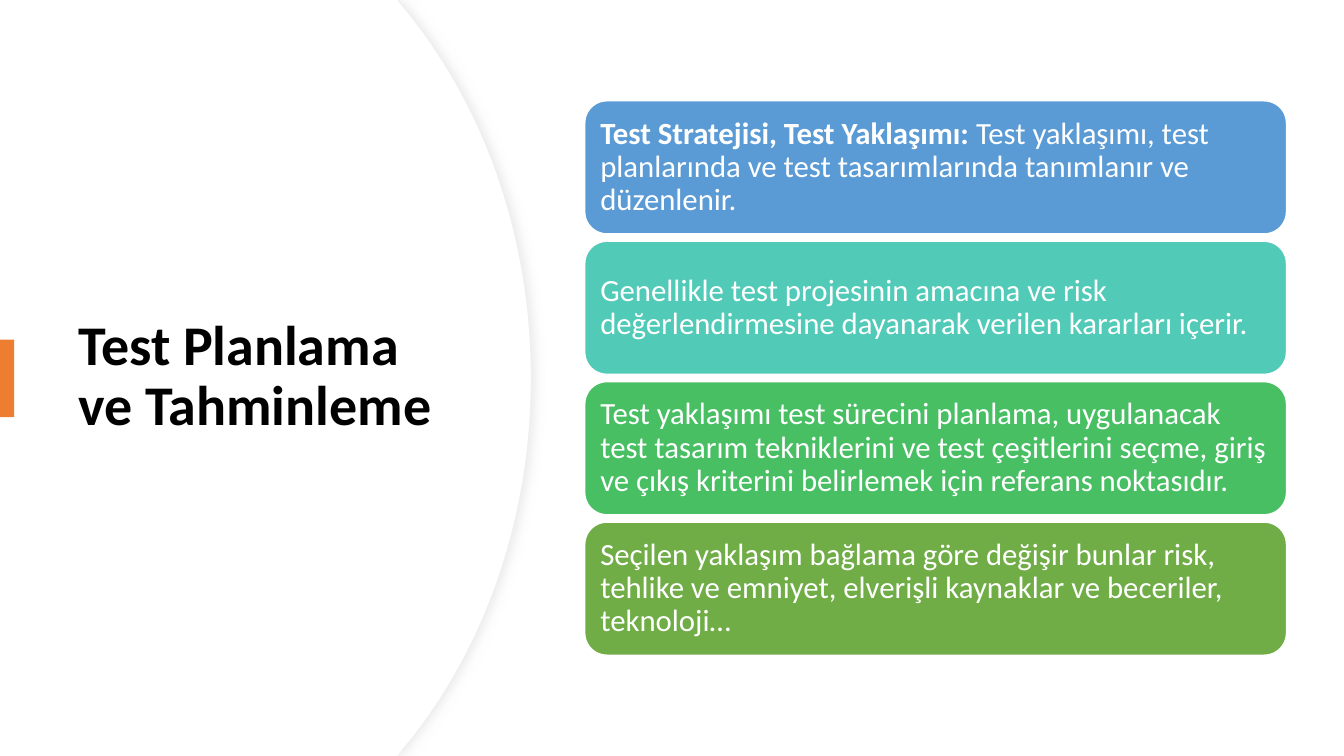
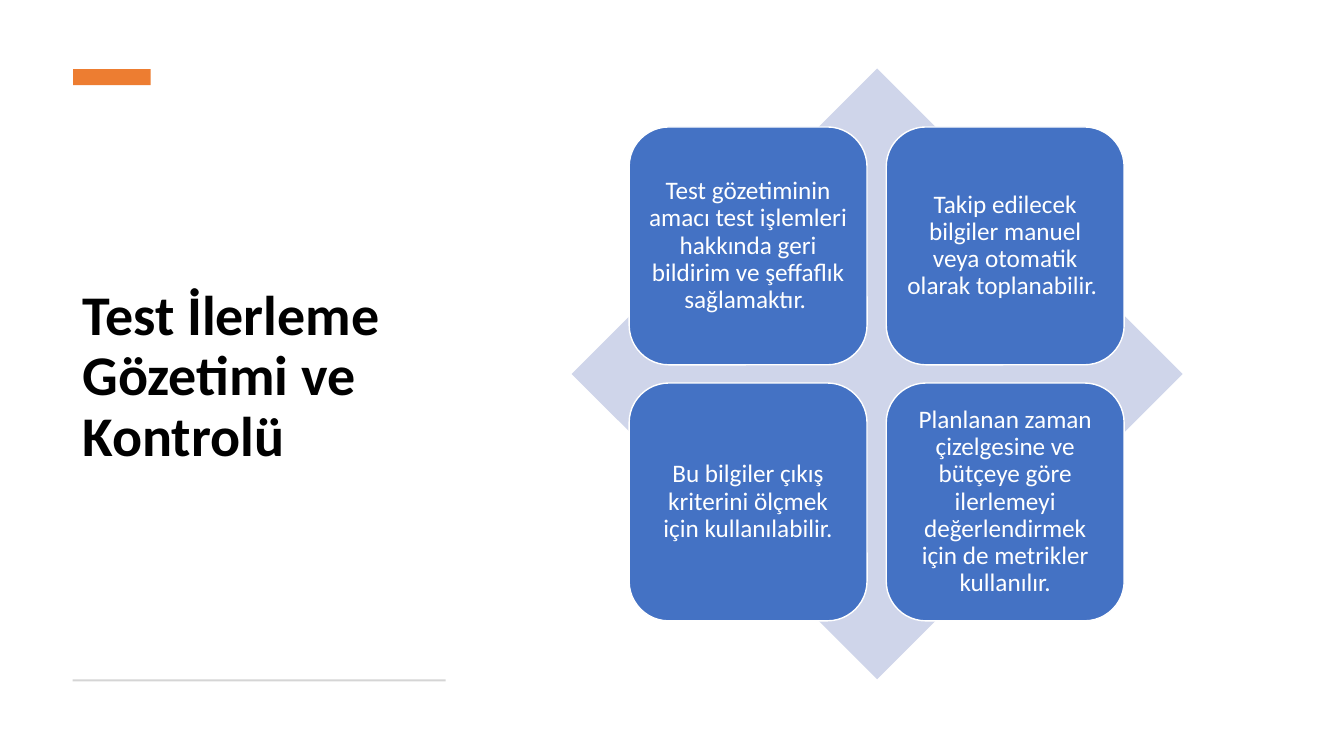
from lxml import etree
from pptx import Presentation
from pptx.dml.color import RGBColor
from pptx.enum.shapes import MSO_SHAPE
from pptx.enum.text import MSO_ANCHOR, PP_ALIGN
from pptx.oxml.ns import qn
from pptx.util import Inches, Pt

RECTANGLE = MSO_SHAPE.RECTANGLE
ROUNDED = MSO_SHAPE.ROUNDED_RECTANGLE
DIAMOND = MSO_SHAPE.DIAMOND
MIDDLE = MSO_ANCHOR.MIDDLE
LEFT, CENTER = PP_ALIGN.LEFT, PP_ALIGN.CENTER

FONT = "Calibri"
WHITE = RGBColor(0xFF, 0xFF, 0xFF)
BLACK = RGBColor(0x00, 0x00, 0x00)
ORANGE = RGBColor(0xED, 0x7D, 0x31)
BLUE = RGBColor(0x44, 0x72, 0xC4)
PALE_BLUE = RGBColor(0xCF, 0xD5, 0xEA)
RULE_GREY = RGBColor(0xD5, 0xD5, 0xD5)
EDGE_GREY = RGBColor(0xEF, 0xEF, 0xEF)
SHADOW_GREY = RGBColor(0xD9, 0xD9, 0xD9)

SLIDE_WIDTH, SLIDE_HEIGHT = 13.33, 7.5

# Content: each bar is a fill and a list of (words, bold) runs
PLANNING_TITLE = "Test Planlama ve Tahminleme"
PLANNING_BARS = [
    (RGBColor(0x5B, 0x9B, 0xD5), [
        ("Test Stratejisi, Test Yaklaşımı: ", True),
        ("Test yaklaşımı, test planlarında ve test tasarımlarında "
         "tanımlanır ve düzenlenir.", False)]),
    (RGBColor(0x52, 0xCA, 0xB8), [
        ("Genellikle test projesinin amacına ve risk değerlendirmesine "
         "dayanarak verilen kararları içerir.", False)]),
    (RGBColor(0x49, 0xBF, 0x64), [
        ("Test yaklaşımı test sürecini planlama, uygulanacak test tasarım "
         "tekniklerini ve test çeşitlerini seçme, giriş ve çıkış kriterini "
         "belirlemek için referans noktasıdır.", False)]),
    (RGBColor(0x70, 0xAD, 0x47), [
        ("Seçilen yaklaşım bağlama göre değişir bunlar risk, tehlike ve "
         "emniyet, elverişli kaynaklar ve beceriler, teknoloji…", False)]),
]
MONITORING_TITLE = "Test İlerleme Gözetimi ve Kontrolü"
MONITORING_TILES = [
    "Test gözetiminin amacı test işlemleri hakkında geri bildirim ve "
    "şeffaflık sağlamaktır. ",
    "Takip edilecek bilgiler manuel veya otomatik olarak toplanabilir. ",
    "Bu bilgiler çıkış kriterini ölçmek için kullanılabilir.",
    "Planlanan zaman çizelgesine ve bütçeye göre ilerlemeyi "
    "değerlendirmek için de metrikler kullanılır.",
]


def write_runs(shape, runs, size, color, align=LEFT, margin=None):
    frame = shape.text_frame
    frame.word_wrap = True
    frame.vertical_anchor = MIDDLE
    if margin is not None:
        frame.margin_left = frame.margin_right = Inches(margin)
        frame.margin_top = frame.margin_bottom = Inches(margin)
    paragraph = frame.paragraphs[0]
    paragraph.alignment = align
    paragraph.line_spacing = 0.9
    for words, bold in runs:
        run = paragraph.add_run()
        run.text = words
        run.font.name = FONT
        run.font.size = Pt(size)
        run.font.bold = bold
        run.font.color.rgb = color


def paint(shape, fill, line=None, line_width=1):
    shape.shadow.inherit = False
    shape.fill.solid()
    shape.fill.fore_color.rgb = fill
    if line is None:
        shape.line.fill.background()
    else:
        shape.line.color.rgb = line
        shape.line.width = Pt(line_width)


def add_block(slide, kind, box, fill, line=None):
    shape = slide.shapes.add_shape(kind, *map(Inches, box))
    paint(shape, fill, line)
    return shape


def add_title(slide, text, box):
    title = slide.shapes.add_textbox(*map(Inches, box))
    write_runs(title, [(text, True)], 40, BLACK)


def merge_into_curve(segments):
    """Turn three straight segments into one cubic curve."""
    curve = etree.Element(qn("a:cubicBezTo"))
    segments[0].addprevious(curve)
    for segment in segments:
        curve.append(segment[0])
        segment.getparent().remove(segment)


def add_round_panel(slide, right):
    """White panel from the left edge of the slide, bulging out to right."""
    shoulder, middle = right - 1.26, SLIDE_HEIGHT / 2
    upper = [(3.94, 0), (shoulder, 0.08), (right - 0.48, 1.02),
             (right, 2.32), (right, middle)]
    lower = [(x, SLIDE_HEIGHT - y) for x, y in reversed(upper[:-1])]
    outline = upper + lower + [(0, SLIDE_HEIGHT)]
    builder = slide.shapes.build_freeform(0, 0)
    builder.add_line_segments([(Inches(x), Inches(y)) for x, y in outline])
    panel = builder.convert_to_shape()
    segments = list(panel._element.spPr.iter(qn("a:lnTo")))
    merge_into_curve(segments[2:5])
    merge_into_curve(segments[5:8])
    return panel


def add_soft_shadow(shape):
    effects = shape._element.spPr.find(qn("a:effectLst"))
    shadow = etree.SubElement(effects, qn("a:outerShdw"), blurRad=str(Pt(7)),
                              dist=str(Pt(3)), dir="0", algn="l", rotWithShape="0")
    color = etree.SubElement(shadow, qn("a:srgbClr"), val=str(SHADOW_GREY))
    etree.SubElement(color, qn("a:alpha"), val="50000")


def build_planning(slide):
    # Round panel: shadowed edge below, plain white face above
    edge = add_round_panel(slide, 5.27)
    paint(edge, WHITE, EDGE_GREY, 0.75)
    add_soft_shadow(edge)
    paint(add_round_panel(slide, 5.26), WHITE)

    # Title and accent
    add_title(slide, PLANNING_TITLE, (0.68, 1.27, 3.94, 4.95))
    add_block(slide, RECTANGLE, (0, 3.37, 0.14, 0.77), ORANGE)

    # Stacked bars, evenly spread between the first and last top
    first_top, last_top = 1, 5.18
    pitch = (last_top - first_top) / (len(PLANNING_BARS) - 1)
    for index, (fill, runs) in enumerate(PLANNING_BARS):
        box = (5.8, first_top + index * pitch, 6.96, 1.32)
        bar = add_block(slide, ROUNDED, box, fill, WHITE)
        write_runs(bar, runs, 22, WHITE, margin=0.09)


def build_monitoring(slide):
    # Title, accent and rule share one column
    left, width = 0.72, 3.7
    add_title(slide, MONITORING_TITLE, (left, 1.04, width, 5.41))
    accent = add_block(slide, RECTANGLE, (1.03, 0.38, 0.16, 0.77), ORANGE)
    accent.rotation = 90
    add_block(slide, RECTANGLE, (left, 6.74, width, 0.02), RULE_GREY)

    # Two by two tiles on a diamond
    add_block(slide, DIAMOND, (5.67, 0.68, 6.06, 6.06), PALE_BLUE)
    for index, text in enumerate(MONITORING_TILES):
        row, column = divmod(index, 2)
        box = (6.24 + column * 2.55, 1.26 + row * 2.54, 2.36, 2.36)
        tile = add_block(slide, ROUNDED, box, BLUE, WHITE)
        write_runs(tile, [(text, False)], 18, WHITE, CENTER, 0.07)


def main():
    presentation = Presentation()
    presentation.slide_width = Inches(SLIDE_WIDTH)
    presentation.slide_height = Inches(SLIDE_HEIGHT)
    blank = presentation.slide_layouts[6]
    for build in (build_planning, build_monitoring):
        build(presentation.slides.add_slide(blank))
    presentation.save("out.pptx")


if __name__ == "__main__":
    main()
